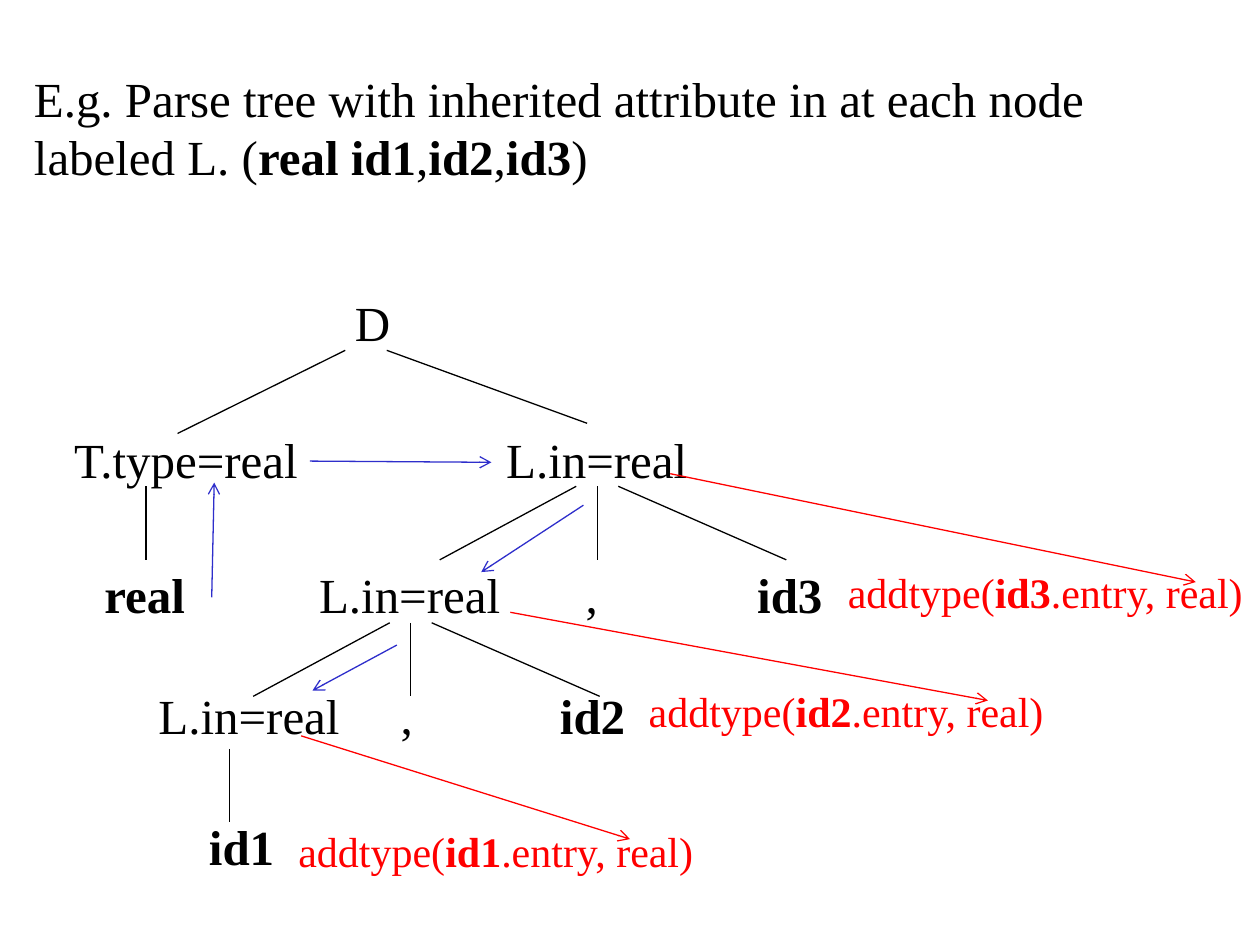
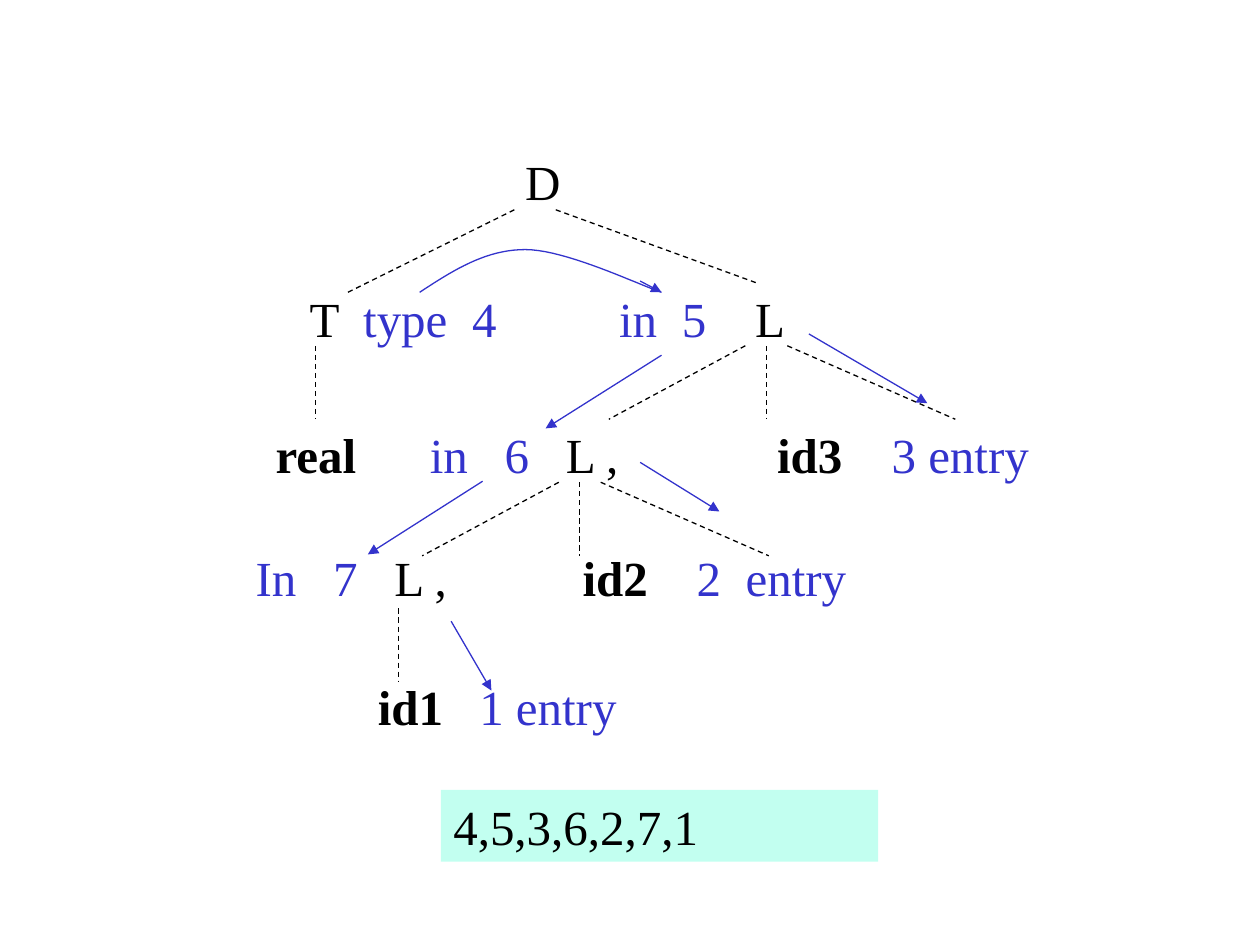
"""Build two slides showing a parse tree with inherited attributes and its dependency graph."""
from dataclasses import dataclass
from typing import NamedTuple, Optional

import pptx
import pptx.dml.color
import pptx.enum.dml
import pptx.enum.shapes
import pptx.enum.text
import pptx.oxml.ns
import pptx.slide
import pptx.util
from lxml import etree

Pt = pptx.util.Pt


@dataclass(frozen=True)
class Theme:
    """Hold the colours, font and sizes shared by the slides."""
    font: str = "Times New Roman"
    ink: str = "000000"
    flow: str = "2E2ECB"
    attribute: str = "3333CC"
    action: str = "FF0000"
    order_fill: str = "C2FFF0"
    body: float = 28
    small: float = 24
    line: float = 0.75


class Label(NamedTuple):
    """Describe one text of the tree; asterisks enclose bold words."""
    text: str
    left: float
    top: float
    width: float
    color: str = Theme.ink
    size: float = Theme.body


class Edge(NamedTuple):
    """Describe a straight line between two points."""
    x1: float
    y1: float
    x2: float
    y2: float


THEME = Theme()
ROW_HEIGHT = 41
GRAPH_SHIFT = (96.6, -80.3)
DROP = 42
FAN = ((0, 0), (-12, -90), (12, 108))
STEM = FAN[:1]


def fan(x: float, y: float, spread: tuple = FAN) -> list[Edge]:
    """Return the branches that drop from one node to its children."""
    return [Edge(x + start, y, x + end, y + DROP) for start, end in spread]


BRANCHES = [
    Edge(197.3, 200.2, 101.5, 247.7),
    Edge(221, 200.2, 335.5, 241.9),
    *fan(83.5, 277.9, STEM),
    *fan(341.3, 277.9),
    *fan(234.7, 355.9),
    *fan(131.2, 428, STEM),
]

TREE_ROWS = (163.4, 241.9, 319, 388.1, 463)
TREE_LABELS = [
    Label("D", 195.8, TREE_ROWS[0], 36),
    Label("T.type=real", 35.3, TREE_ROWS[1], 146),
    Label("L.in=real", 282.2, TREE_ROWS[1], 122),
    Label("*real*", 52.6, TREE_ROWS[2], 64),
    Label("L.in=real", 175.3, TREE_ROWS[2], 122),
    Label(",", 327.6, TREE_ROWS[2], 24),
    Label("*id3*", 425.6, TREE_ROWS[2], 54),
    Label("L.in=real", 83.5, TREE_ROWS[3], 122),
    Label(",", 221.9, TREE_ROWS[3], 24),
    Label("*id2*", 312.9, TREE_ROWS[3], 54),
    Label("*id1*", 112.3, TREE_ROWS[4], 54),
] + [
    Label(f"addtype(*{name}*.entry, real)", left, top, 242, THEME.action, THEME.small)
    for name, left, top in (("id3", 477.4, 320.4), ("id2", 363.6, 388.1), ("id1", 163.4, 468))
]
INHERITANCE = [
    Edge(177.1, 263.5, 280.8, 264.2),
    Edge(121, 341.3, 122.4, 275.8),
    Edge(333.4, 288.7, 275, 326.9),
    Edge(226.8, 368.6, 178.6, 394.6),
]
ACTIONS = [
    Edge(172.1, 420.5, 360, 479.5),
    Edge(291.6, 349.9, 564.5, 400.3),
    Edge(383, 270.7, 683.3, 332.6),
]

GRAPH_ROWS = (82.8, 161.3, 239, 309.6, 383)
GRAPH_LABELS = [
    Label("D", 293, GRAPH_ROWS[0], 36),
    Label("T", 169.9, GRAPH_ROWS[1], 34),
    Label("type", 200.5, GRAPH_ROWS[1], 66, THEME.attribute),
    Label("4", 262.7, GRAPH_ROWS[1], 32, THEME.attribute),
    Label("in", 346.7, GRAPH_ROWS[1], 40, THEME.attribute),
    Label("5", 382.5, GRAPH_ROWS[1], 32, THEME.attribute),
    Label("L", 424.5, GRAPH_ROWS[1], 36),
    Label("*real*", 150.5, GRAPH_ROWS[2], 64),
    Label("in", 238.5, GRAPH_ROWS[2], 40, THEME.attribute),
    Label("6", 281.3, GRAPH_ROWS[2], 32, THEME.attribute),
    Label("L ,", 316.3, GRAPH_ROWS[2], 50),
    Label("*id3*", 437, GRAPH_ROWS[2], 54),
    Label("3 entry", 502.4, GRAPH_ROWS[2], 98, THEME.attribute),
    Label("In", 139, GRAPH_ROWS[3], 42, THEME.attribute),
    Label("7", 183.3, GRAPH_ROWS[3], 32, THEME.attribute),
    Label("L ,", 218.3, GRAPH_ROWS[3], 50),
    Label("*id2*", 325.8, GRAPH_ROWS[3], 54),
    Label("2", 391, GRAPH_ROWS[3], 32, THEME.attribute),
    Label("entry", 419, GRAPH_ROWS[3], 76, THEME.attribute),
    Label("*id1*", 208.8, GRAPH_ROWS[4], 54),
    Label("1 entry", 266.8, GRAPH_ROWS[4], 98, THEME.attribute),
]
DEPENDENCIES = [
    Edge(365.8, 160.6, 378, 167),
    Edge(378, 203, 311.8, 244.8),
    Edge(275.8, 275, 210.2, 316.8),
    Edge(257.8, 355, 280.8, 394.6),
    Edge(365.8, 264.2, 411.1, 292.3),
    Edge(462.2, 190.8, 529.9, 230.4),
]
TYPE_TO_IN = (
    ((239.8, 167), (258.5, 154.8), (277.2, 142.6), (300.2, 142.6)),
    ((300.2, 142.6), (323.3, 142.6), (365, 162.7), (378, 167)),
)


def rgb(color: str) -> pptx.dml.color.RGBColor:
    """Turn a hex string into a colour."""
    return pptx.dml.color.RGBColor.from_string(color)


def write(shape, text: str, *, color: str = THEME.ink, size: float = THEME.body) -> None:
    """Fill a shape with one left-aligned paragraph, bold between asterisks."""
    frame = shape.text_frame
    frame.word_wrap = True
    frame.auto_size = pptx.enum.text.MSO_AUTO_SIZE.NONE
    frame.vertical_anchor = pptx.enum.text.MSO_ANCHOR.TOP
    paragraph = frame.paragraphs[0]
    paragraph.alignment = pptx.enum.text.PP_ALIGN.LEFT
    for index, part in enumerate(text.split("*")):
        if part:
            run = paragraph.add_run()
            run.text = part
            run.font.name = THEME.font
            run.font.size = Pt(size)
            run.font.bold = index % 2 == 1
            run.font.color.rgb = rgb(color)


def add_labels(slide: pptx.slide.Slide, labels: list[Label]) -> None:
    """Place the texts of a tree."""
    for label in labels:
        box = slide.shapes.add_textbox(
            Pt(label.left), Pt(label.top), Pt(label.width), Pt(ROW_HEIGHT))
        write(box, label.text, color=label.color, size=label.size)


def add_edges(slide: pptx.slide.Slide, edges: list[Edge], *, color: str = THEME.ink,
              head: Optional[str] = None, dashed: bool = False,
              shift: tuple[float, float] = (0, 0)) -> None:
    """Draw straight lines, with an arrowhead or dashes if asked."""
    dx, dy = shift
    for edge in edges:
        connector = slide.shapes.add_connector(
            pptx.enum.shapes.MSO_CONNECTOR.STRAIGHT,
            Pt(edge.x1 + dx), Pt(edge.y1 + dy), Pt(edge.x2 + dx), Pt(edge.y2 + dy))
        connector.line.color.rgb = rgb(color)
        connector.line.width = Pt(THEME.line)
        if dashed:
            connector.line.dash_style = pptx.enum.dml.MSO_LINE.DASH
        properties = connector._element.spPr
        if head:
            outline = properties.find(pptx.oxml.ns.qn("a:ln"))
            etree.SubElement(outline, pptx.oxml.ns.qn("a:tailEnd"), type=head)
        etree.SubElement(properties, pptx.oxml.ns.qn("a:effectLst"))


def bezier(points: tuple, t: float) -> tuple[float, float]:
    """Return the point of a cubic curve at t."""
    weights = ((1 - t) ** 3, 3 * t * (1 - t) ** 2, 3 * t ** 2 * (1 - t), t ** 3)
    x, y = (sum(w * p[axis] for w, p in zip(weights, points)) for axis in (0, 1))
    return x, y


def add_curve(slide: pptx.slide.Slide, segments: tuple, color: str, steps: int = 20) -> None:
    """Draw an open curve made of cubic segments."""
    start, *rest = [segments[0][0]] + [
        bezier(segment, step / steps) for segment in segments for step in range(1, steps + 1)]
    builder = slide.shapes.build_freeform(Pt(start[0]), Pt(start[1]))
    builder.add_line_segments([(Pt(x), Pt(y)) for x, y in rest], close=False)
    curve = builder.convert_to_shape()
    curve.shadow.inherit = False
    curve.fill.background()
    curve.line.color.rgb = rgb(color)
    curve.line.width = Pt(THEME.line)


def build_parse_tree(deck) -> None:
    """Add the slide with the annotated parse tree."""
    slide = deck.slides.add_slide(deck.slide_layouts[5])
    title = slide.shapes.title
    title.left, title.top, title.width, title.height = Pt(12.2), Pt(35.3), Pt(671.8), Pt(75)
    write(title, "E.g. Parse tree with inherited attribute in at each node labeled L. "
                 "(*real id1*,*id2*,*id3*)")
    add_labels(slide, TREE_LABELS)
    add_edges(slide, BRANCHES)
    add_edges(slide, INHERITANCE, color=THEME.flow, head="arrow")
    add_edges(slide, ACTIONS, color=THEME.action, head="arrow")


def build_dependency_graph(deck) -> None:
    """Add the slide with the dependency graph and its evaluation order."""
    slide = deck.slides.add_slide(deck.slide_layouts[6])
    add_labels(slide, GRAPH_LABELS)
    add_edges(slide, BRANCHES, dashed=True, shift=GRAPH_SHIFT)
    add_curve(slide, TYPE_TO_IN, THEME.attribute)
    add_edges(slide, DEPENDENCIES, color=THEME.attribute, head="triangle")
    order = slide.shapes.add_shape(
        pptx.enum.shapes.MSO_SHAPE.RECTANGLE, Pt(252), Pt(451.4), Pt(249.8), Pt(ROW_HEIGHT))
    order.shadow.inherit = False
    order.fill.solid()
    order.fill.fore_color.rgb = rgb(THEME.order_fill)
    order.line.fill.background()
    write(order, "4,5,3,6,2,7,1")


def main() -> None:
    """Build and save the deck."""
    deck = pptx.Presentation()
    deck.slide_width, deck.slide_height = Pt(720), Pt(540)
    build_parse_tree(deck)
    build_dependency_graph(deck)
    deck.save("out.pptx")


if __name__ == "__main__":
    main()
